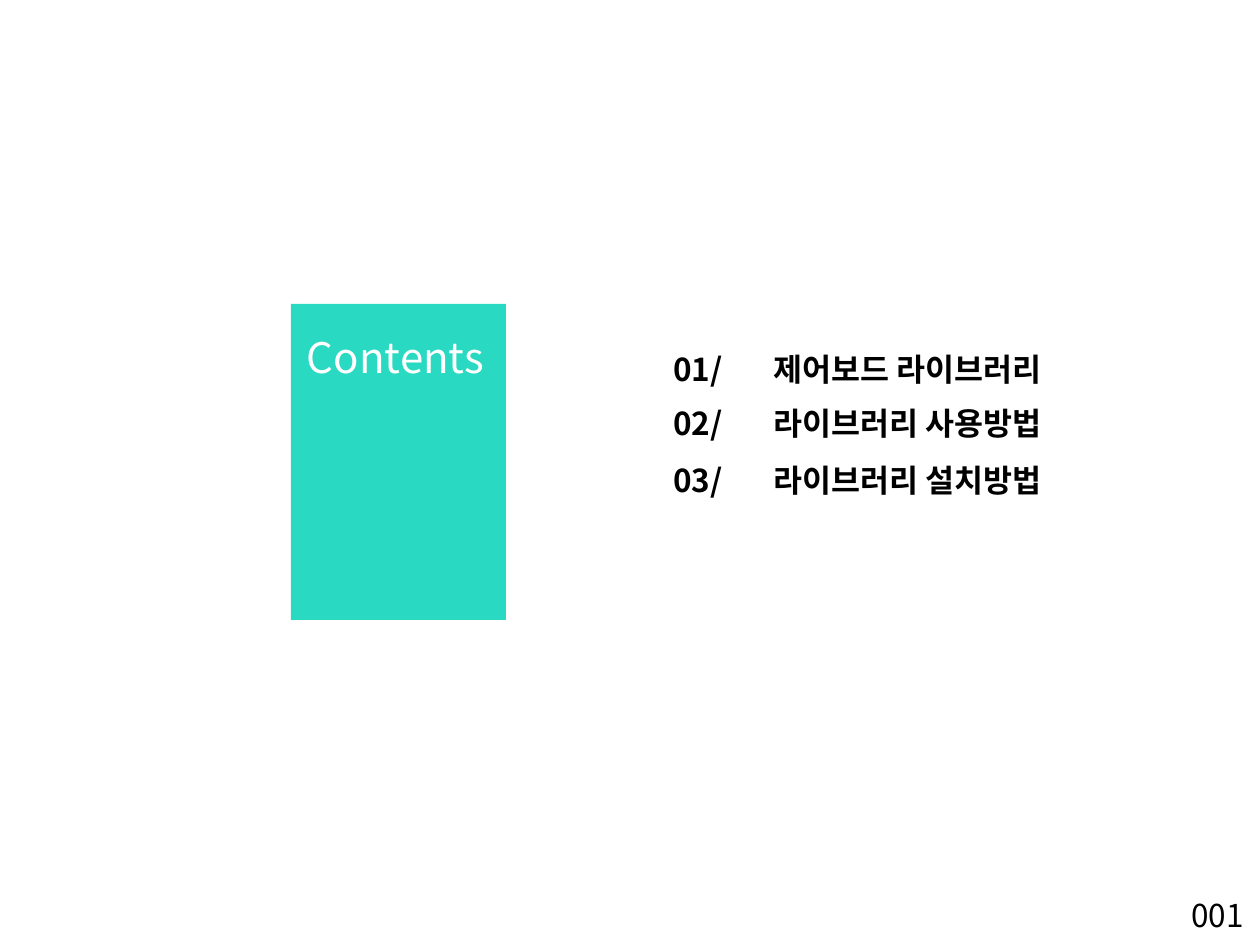
from lxml import etree
from pptx import Presentation
from pptx import util as u
from pptx.dml.color import RGBColor
from pptx.enum import shapes, text
from pptx.oxml.ns import qn

# Content
TITLE = "Contents"
PAGE_NUMBER = "001"
TOPICS = [
    # number, topic, top, width
    ("01/", "제어보드 라이브러리", 344, 533),
    ("02/", "라이브러리 사용방법", 398, 543),
    ("03/", "라이브러리 설치방법", 455, 563),
]

# Theme and layout, lengths in px
THEME = {
    "font": "Noto Sans CJK KR",
    "black": RGBColor.from_string("000000"),
    "white": RGBColor.from_string("FFFFFF"),
    "accent": RGBColor.from_string("29D9C2"),
    "title_size": 24,
    "body_size": 18,
}
SLIDE_SIZE = (1260, 945)
TITLE_PANEL = (291, 304, 215, 316)
TITLE_BOX = (200, 325, 391, 63)
FOOTER_PANEL = (1027, 810, 233, 135)
PAGE_BOX = (878, 890, 378, 50)
TOPIC_LEFT, TOPIC_HEIGHT, TOPIC_TAB = 661, 50, 100


def px(length):
    return u.Emu(round(length * 914400 / 126))


def add_panel(slide, box, color):
    panel = slide.shapes.add_shape(shapes.MSO_SHAPE.RECTANGLE, *map(px, box))
    panel.shadow.inherit = False
    panel.fill.solid()
    panel.fill.fore_color.rgb = color
    panel.line.fill.background()


def add_label(slide, box, words, size, color, align, bold=False, tab=None):
    frame = slide.shapes.add_textbox(*map(px, box)).text_frame
    frame.word_wrap = True
    paragraph = frame.paragraphs[0]
    paragraph.alignment = align
    if tab:
        properties = paragraph._p.get_or_add_pPr()
        tabs = etree.SubElement(properties, qn("a:tabLst"))
        etree.SubElement(tabs, qn("a:tab"), pos=str(px(tab)), algn="l")
    run = paragraph.add_run()
    run.text = words
    font_format = {"name": THEME["font"], "size": u.Pt(size), "bold": bold}
    for name, value in font_format.items():
        setattr(run.font, name, value)
    run.font.color.rgb = color
    # Hangul takes its typeface from the East Asian slot
    etree.SubElement(run._r.get_or_add_rPr(), qn("a:ea"), typeface=THEME["font"])


def main():
    presentation = Presentation()
    presentation.slide_width, presentation.slide_height = map(px, SLIDE_SIZE)
    slide = presentation.slides.add_slide(presentation.slide_layouts[6])
    align = text.PP_ALIGN

    # Topic list
    for number, topic, top, width in TOPICS:
        add_label(slide, (TOPIC_LEFT, top, width, TOPIC_HEIGHT),
                  f"{number} \t{topic}", THEME["body_size"], THEME["black"],
                  align.LEFT, bold=True, tab=TOPIC_TAB)

    # Title panel
    add_panel(slide, TITLE_PANEL, THEME["accent"])
    add_label(slide, TITLE_BOX, TITLE, THEME["title_size"], THEME["white"],
              align.CENTER)

    # Page number
    add_panel(slide, FOOTER_PANEL, THEME["white"])
    add_label(slide, PAGE_BOX, PAGE_NUMBER, THEME["body_size"], THEME["black"],
              align.RIGHT)

    presentation.save("out.pptx")


if __name__ == "__main__":
    main()
